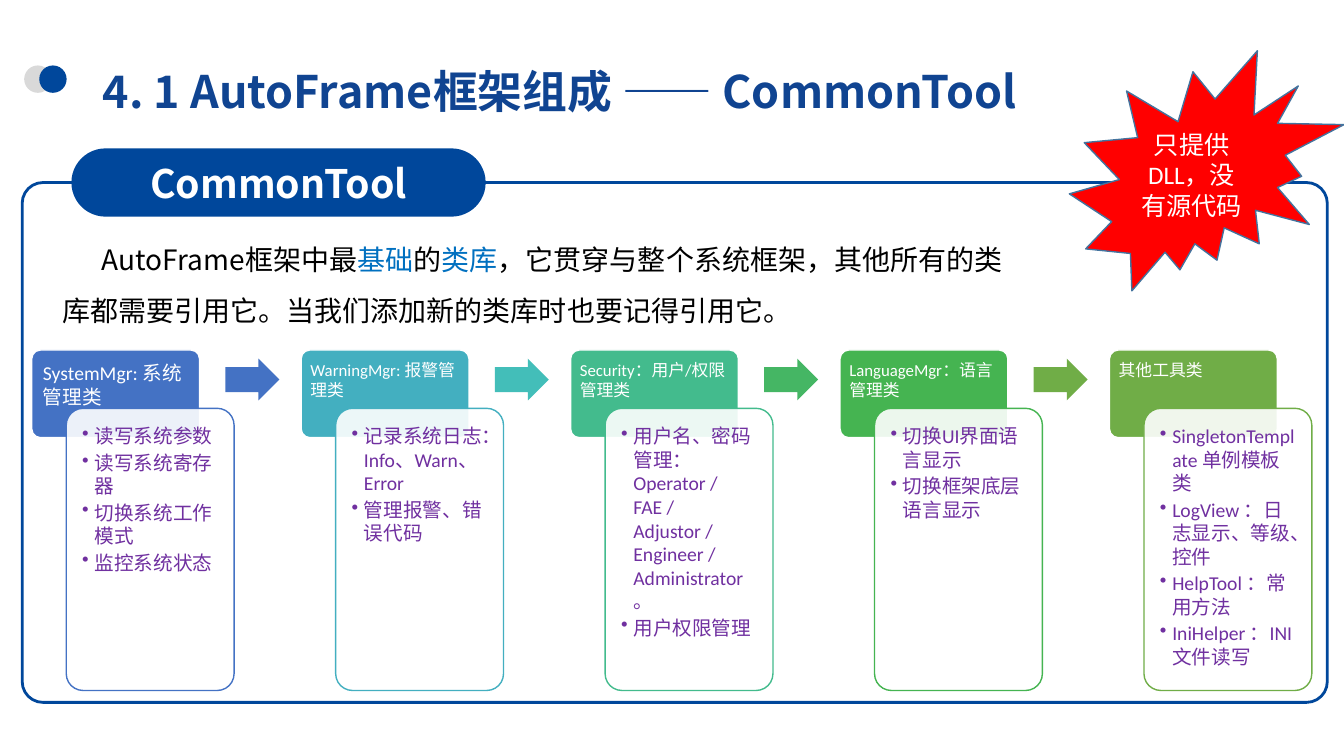
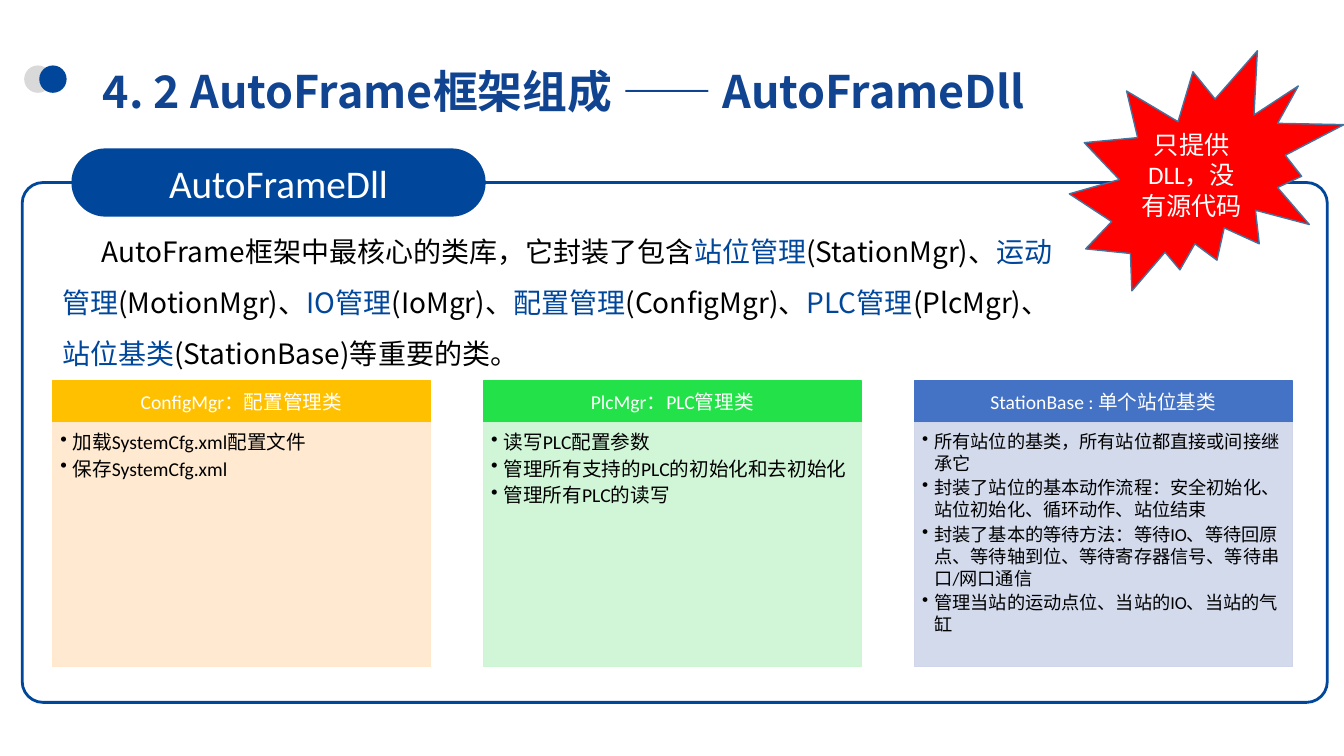
from dataclasses import dataclass

from lxml.etree import SubElement
from pptx import Presentation
from pptx.dml.color import RGBColor
from pptx.enum.shapes import MSO_SHAPE
from pptx.enum.text import MSO_ANCHOR, MSO_AUTO_SIZE, PP_ALIGN
from pptx.oxml.ns import qn
from pptx.util import Cm, Pt


@dataclass(frozen=True)
class Theme:
    heading_font: str = "Noto Sans CJK SC"
    body_font: str = "Calibri"
    navy: str = "00479B"
    title: str = "104491"
    grey: str = "D9D9D9"
    red: str = "FF0000"
    seal_line: str = "43739E"
    sky: str = "0070C0"
    purple: str = "7030A0"
    white: str = "FFFFFF"
    black: str = "000000"
    title_size: int = 32
    label_size: int = 28
    intro_size: int = 20
    seal_size: int = 18
    text_size: int = 14
    compact_size: int = 13
    small_size: int = 12


theme = Theme()


def add_block(page, kind, area, fill=None, line=None, width=1, adjustments=(), opacity=100):
    block = page.shapes.add_shape(kind, *[Cm(length) for length in area])
    block.shadow.inherit = False
    for index, value in enumerate(adjustments):
        block.adjustments[index] = value
    if fill:
        block.fill.solid()
        block.fill.fore_color.rgb = RGBColor.from_string(fill)
        if opacity < 100:
            colour = block.element.spPr.find(".//" + qn("a:srgbClr"))
            SubElement(colour, qn("a:alpha"), val=str(opacity * 1000))
    else:
        block.fill.background()
    if line:
        block.line.color.rgb = RGBColor.from_string(line)
        block.line.width = Pt(width)
    else:
        block.line.fill.background()
    return block


def write(box, texts, size, colour, font=theme.body_font, bold=False, align=PP_ALIGN.LEFT,
          anchor=MSO_ANCHOR.TOP, margins=(0.25, 0.13, 0.25, 0.13), bullets=False):
    frame = box.text_frame
    frame.word_wrap = True
    frame.auto_size = MSO_AUTO_SIZE.NONE
    frame.vertical_anchor = anchor
    frame.margin_left, frame.margin_top, frame.margin_right, frame.margin_bottom = map(Cm, margins)
    for index, text in enumerate(texts):
        para = frame.add_paragraph() if index else frame.paragraphs[0]
        para.text = text
        para.alignment = align
        if bullets:
            properties = para._p.get_or_add_pPr()
            properties.set("marL", str(Cm(0.31)))
            properties.set("indent", str(Cm(-0.31)))
            SubElement(properties, qn("a:buChar"), char="•")
            para.space_after = Pt(2)
        para.font.name = font
        para.font.size = Pt(size)
        para.font.bold = bold
        para.font.color.rgb = RGBColor.from_string(colour)
    return frame


deck = Presentation()
deck.slide_width = Cm(33.87)
deck.slide_height = Cm(19.05)
layout = deck.slide_layouts[5]

topics = [
    ("4. 1 AutoFrame框架组成 —— CommonTool", "CommonTool", theme.heading_font, True,
     (1.32, 5.54, 24.87, 2.67), theme.sky,
     ["AutoFrame框架中最", "基础", "的", "类库",
      "，它贯穿与整个系统框架，其他所有的类库都需要引用它。当我们添加新的类库时也要记得引用它。"]),
    ("4. 2 AutoFrame框架组成 —— AutoFrameDll", "AutoFrameDll", theme.body_font, False,
     (1.32, 5.33, 25.63, 4.2), theme.navy,
     ["AutoFrame框架中最核心的类库，它封装了包含", "站位管理", "(StationMgr)、", "运动管理",
      "(MotionMgr)、", "IO管理", "(IoMgr)、", "配置管理", "(ConfigMgr)、", "PLC管理",
      "(PlcMgr)、", "站位基类", "(StationBase)等重要的类。"]),
]

pages = []
for title, label, label_font, label_bold, intro_area, accent, pieces in topics:
    page = deck.slides.add_slide(layout)
    pages.append(page)

    heading = page.shapes.title
    heading.left, heading.top, heading.width, heading.height = Cm(2.34), Cm(1.02), Cm(25.22), Cm(1.96)
    frame = write(heading, [title], theme.title_size, theme.title, theme.heading_font, True,
                  anchor=MSO_ANCHOR.MIDDLE)
    frame.paragraphs[0].line_spacing = Pt(55)

    add_block(page, MSO_SHAPE.ROUNDED_RECTANGLE, (0.56, 4.6, 32.89, 13.1), line=theme.navy,
              width=2, adjustments=[0.04])
    pill = add_block(page, MSO_SHAPE.ROUNDED_RECTANGLE, (1.8, 3.74, 10.44, 1.72), theme.navy,
                     adjustments=[0.5])
    write(pill, [label], theme.label_size, theme.white, label_font, label_bold,
          PP_ALIGN.CENTER, MSO_ANCHOR.MIDDLE)

    intro = page.shapes.add_textbox(*[Cm(length) for length in intro_area])
    frame = write(intro, [""], theme.intro_size, theme.black, theme.heading_font)
    para = frame.paragraphs[0]
    para.line_spacing = Pt(36.6)
    para._p.get_or_add_pPr().set("indent", str(Cm(1)))
    for index, piece in enumerate(pieces):
        span = para.add_run()
        span.text = piece
        if index % 2:
            span.font.color.rgb = RGBColor.from_string(accent)

    seal = add_block(page, MSO_SHAPE.EXPLOSION2, (26.95, 1.28, 6.92, 6.05), theme.red,
                     theme.seal_line)
    write(seal, ["只提供DLL，没有源代码"], theme.seal_size, theme.white, align=PP_ALIGN.CENTER,
          anchor=MSO_ANCHOR.MIDDLE, margins=(0, 0.13, 0.25, 0.13))

tool_page, dll_page = pages

for left, colour in [(0.61, theme.grey), (0.99, theme.navy)]:
    dot = add_block(tool_page, MSO_SHAPE.OVAL, (left, 1.65, 0.69, 0.69), colour)
    layout.shapes.element.append(dot.element)

tools = [
    ("SystemMgr: 系统管理类", theme.text_size, "4472C4", "4472C4",
     ["读写系统参数", "读写系统寄存器", "切换系统工作模式", "监控系统状态"]),
    ("WarningMgr: 报警管理类", theme.small_size, "43AFC0", "43BEB9",
     ["记录系统日志：Info、Warn、Error", "管理报警、错误代码"]),
    ("Security：用户/权限管理类", theme.small_size, "43BB8D", "45B664",
     ["用户名、密码管理：Operator / FAE / Adjustor / Engineer / Administrator。", "用户权限管理"]),
    ("LanguageMgr：语言管理类", theme.small_size, "45B451", "70AD47",
     ["切换UI界面语言显示", "切换框架底层语言显示"]),
    ("其他工具类", theme.small_size, "70AD47", None,
     ["SingletonTemplate 单例模板类", "LogView ：日志显示、等级、控件", "HelpTool ：常用方法",
      "IniHelper ：INI文件读写"]),
]
for index, (name, size, colour, arrow_colour, duties) in enumerate(tools):
    left = 0.8 + 6.79 * index
    inset = 0.22 if size == theme.text_size else 0.17
    header = add_block(tool_page, MSO_SHAPE.ROUNDED_RECTANGLE, (left, 8.82, 4.23, 2.21), colour,
                       theme.white, adjustments=[0.1])
    write(header, [name], size, theme.white, margins=(inset, inset, inset, 0.8))
    card = add_block(tool_page, MSO_SHAPE.ROUNDED_RECTANGLE, (left + 0.87, 10.29, 4.23, 7.11),
                     theme.white, colour, adjustments=[0.1], opacity=90)
    write(card, duties, theme.text_size, theme.purple, margins=[0.28] * 4, bullets=True)
    if arrow_colour:
        add_block(tool_page, MSO_SHAPE.RIGHT_ARROW, (left + 4.88, 9.04, 1.36, 1.05), arrow_colour,
                  adjustments=[0.6, 0.5])

managers = [
    ("ConfigMgr：配置管理类", "FFC000", "FFE8CC", theme.text_size,
     ["加载SystemCfg.xml配置文件", "保存SystemCfg.xml"]),
    ("PlcMgr：PLC管理类", "23E148", "CCF6D3", theme.text_size,
     ["读写PLC配置参数", "管理所有支持的PLC的初始化和去初始化", "管理所有PLC的读写"]),
    ("StationBase : 单个站位基类", "4472C4", "CFD6EA", theme.compact_size,
     ["所有站位的基类，所有站位都直接或间接继承它",
      "封装了站位的基本动作流程：安全初始化、站位初始化、循环动作、站位结束",
      "封装了基本的等待方法：等待IO、等待回原点、等待轴到位、等待寄存器信号、等待串口/网口通信",
      "管理当站的运动点位、当站的IO、当站的气缸"]),
]
for index, (name, colour, tint, size, duties) in enumerate(managers):
    left = 1.32 + 10.86 * index
    header = add_block(dll_page, MSO_SHAPE.RECTANGLE, (left, 9.6, 9.53, 1.04), colour, colour)
    write(header, [name], theme.text_size, theme.white, align=PP_ALIGN.CENTER,
          anchor=MSO_ANCHOR.MIDDLE, margins=(0.28, 0.15, 0.28, 0.15))
    body = add_block(dll_page, MSO_SHAPE.RECTANGLE, (left, 10.64, 9.53, 6.15), tint, tint,
                     opacity=90)
    write(body, duties, size, theme.black, margins=(0.2, 0.2, 0.26, 0.29), bullets=True)

for page in pages:
    for latin in list(page.element.iter(qn("a:latin"))):
        east_asian = SubElement(latin.getparent(), qn("a:ea"), typeface=latin.get("typeface"))
        latin.addnext(east_asian)

deck.save("out.pptx")
